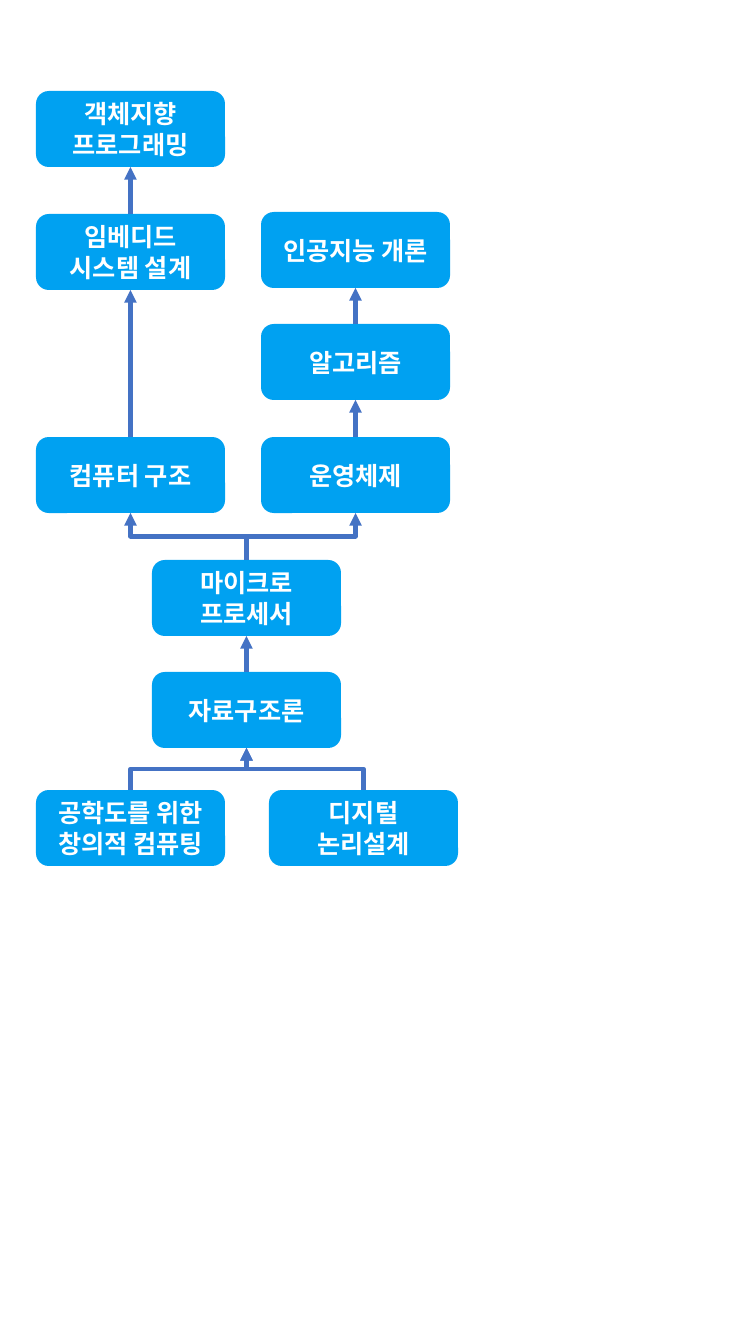
"""Build a course roadmap of rounded boxes joined by upward arrows."""
from dataclasses import dataclass

from pptx import Presentation
from pptx.dml.color import RGBColor
from pptx.enum.shapes import MSO_CONNECTOR, MSO_SHAPE
from pptx.enum.text import MSO_ANCHOR, PP_ALIGN
from pptx.oxml.ns import qn
from pptx.util import Inches, Pt
from lxml.etree import SubElement

PX_PER_INCH = 100.8
BOX_WIDTH, BOX_HEIGHT = 189, 76
TOP_SITE, BOTTOM_SITE = 0, 2
LEFT, CENTER, RIGHT = 36, 152, 261

COURSES = {
    "object_oriented": ("객체지향 프로그래밍", LEFT, 91),
    "embedded": ("임베디드\n시스템 설계", LEFT, 214),
    "intelligence": ("인공지능 개론", RIGHT, 212),
    "algorithms": ("알고리즘", RIGHT, 324),
    "architecture": ("컴퓨터 구조", LEFT, 437),
    "operating_system": ("운영체제", RIGHT, 437),
    "microprocessor": ("마이크로\n프로세서", CENTER, 560),
    "data_structures": ("자료구조론", CENTER, 672),
    "digital_logic": ("디지털 논리설계", 269, 790),
    "creative_computing": ("공학도를 위한 창의적 컴퓨팅", LEFT, 790),
}

PREREQUISITES = [
    ("creative_computing", "data_structures"),
    ("digital_logic", "data_structures"),
    ("data_structures", "microprocessor"),
    ("microprocessor", "architecture"),
    ("microprocessor", "operating_system"),
    ("operating_system", "algorithms"),
    ("algorithms", "intelligence"),
    ("architecture", "embedded"),
    ("embedded", "object_oriented"),
]


@dataclass(frozen=True)
class Theme:
    box: RGBColor = RGBColor(0x00, 0xA1, 0xF1)
    arrow: RGBColor = RGBColor(0x44, 0x72, 0xC4)
    text: RGBColor = RGBColor(0xFF, 0xFF, 0xFF)
    font: str = "Calibri"
    text_size: int = 18
    arrow_width: int = 3


def px(length):
    return Inches(length / PX_PER_INCH)


def write_text(text_frame, text, *, font, size, color, bold=False, align=PP_ALIGN.CENTER):
    text_frame.word_wrap = True
    text_frame.vertical_anchor = MSO_ANCHOR.MIDDLE
    text_frame.text = text
    for paragraph in text_frame.paragraphs:
        paragraph.alignment = align
        for run in paragraph.runs:
            run.font.name = font
            run.font.size = Pt(size)
            run.font.bold = bold
            run.font.color.rgb = color


class Roadmap:
    def __init__(self, slide, theme):
        self.slide = slide
        self.theme = theme

    def box(self, text, left, top):
        shape = self.slide.shapes.add_shape(
            MSO_SHAPE.ROUNDED_RECTANGLE, px(left), px(top), px(BOX_WIDTH), px(BOX_HEIGHT))
        shape.shadow.inherit = False
        shape.fill.solid()
        shape.fill.fore_color.rgb = self.theme.box
        shape.line.fill.background()
        write_text(shape.text_frame, text, font=self.theme.font,
                   size=self.theme.text_size, color=self.theme.text, bold=True)
        return shape

    def arrow(self, lower, upper):
        straight = lower.left == upper.left
        kind = MSO_CONNECTOR.STRAIGHT if straight else MSO_CONNECTOR.ELBOW
        connector = self.slide.shapes.add_connector(kind, 0, 0, 0, 0)
        connector.begin_connect(lower, TOP_SITE)
        connector.end_connect(upper, BOTTOM_SITE)
        if not straight:
            self.turn_upright(connector)
        connector.line.color.rgb = self.theme.arrow
        connector.line.width = Pt(self.theme.arrow_width)
        properties = connector._element.spPr
        SubElement(properties.find(qn("a:ln")), qn("a:tailEnd"), type="triangle")
        SubElement(properties, qn("a:effectLst"))

    def turn_upright(self, connector):
        goes_right = connector.end_x > connector.begin_x
        center_x = (connector.begin_x + connector.end_x) // 2
        center_y = (connector.begin_y + connector.end_y) // 2
        rise, run = connector.height, connector.width
        connector.left, connector.top = center_x - rise // 2, center_y - run // 2
        connector.width, connector.height = rise, run
        transform = connector._element.spPr.find(qn("a:xfrm"))
        transform.set("rot", str((90 if goes_right else 270) * 60000))
        transform.set("flipH", "1" if goes_right else "0")
        transform.set("flipV", "1")


def main():
    presentation = Presentation()
    presentation.slide_width = px(756)
    presentation.slide_height = px(1344)
    slide = presentation.slides.add_slide(presentation.slide_layouts[6])
    roadmap = Roadmap(slide, Theme())
    boxes = {name: roadmap.box(*course) for name, course in COURSES.items()}
    for lower, upper in PREREQUISITES:
        roadmap.arrow(boxes[lower], boxes[upper])
    presentation.save("out.pptx")


if __name__ == "__main__":
    main()
